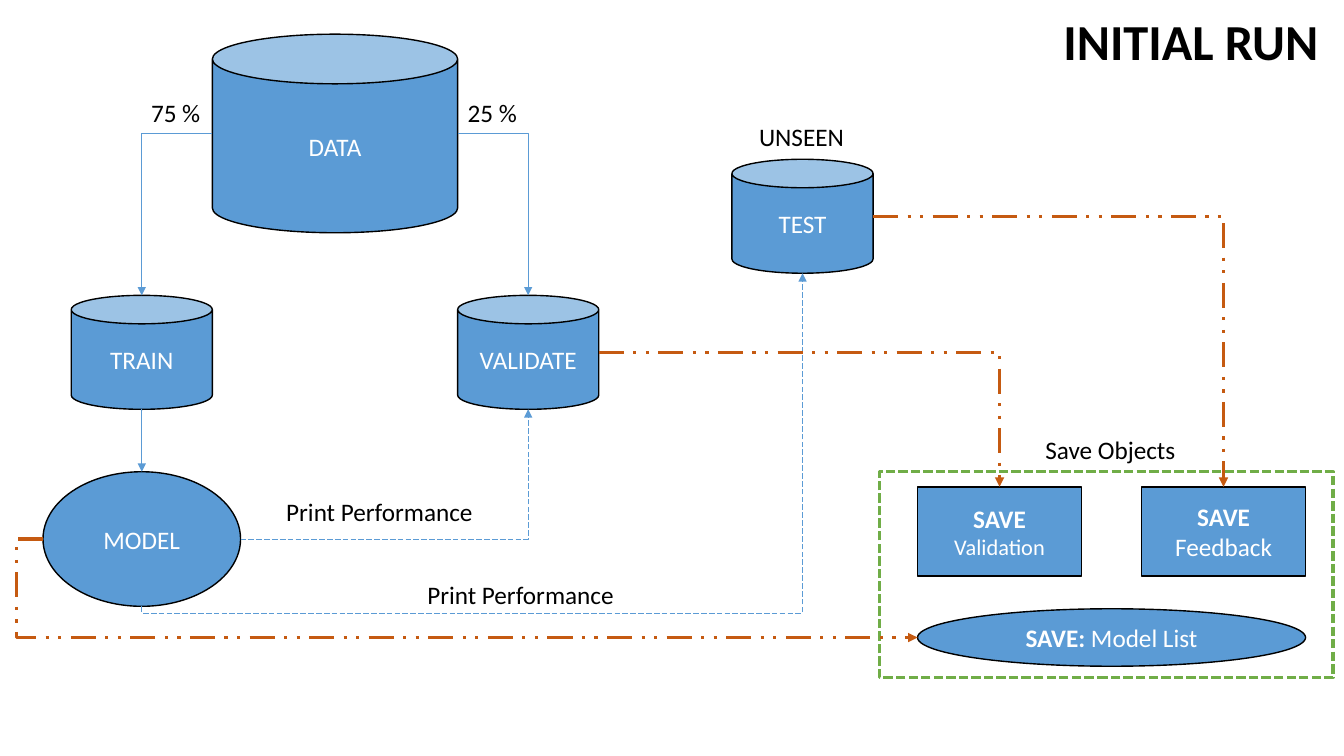
"""Build the INITIAL RUN data flow slide."""
from dataclasses import dataclass
from enum import Enum

from lxml.etree import SubElement
from pptx import Presentation
from pptx.dml.color import RGBColor
from pptx.enum.dml import MSO_LINE_DASH_STYLE as Dash
from pptx.enum.shapes import MSO_AUTO_SHAPE_TYPE as ShapeType, MSO_CONNECTOR_TYPE as ConnectorType
from pptx.enum.text import MSO_ANCHOR as Anchor, MSO_AUTO_SIZE as AutoSize, PP_ALIGN as Align
from pptx.oxml.ns import qn
from pptx.util import Inches, Pt

BLUE = RGBColor(0x5B, 0x9B, 0xD5)
GREEN = RGBColor(0x70, 0xAD, 0x47)
ORANGE = RGBColor(0xC5, 0x5A, 0x11)
BLACK = RGBColor(0, 0, 0)
WHITE = RGBColor(0xFF, 0xFF, 0xFF)
FONT = "Calibri"

presentation = Presentation()
presentation.slide_width, presentation.slide_height = Inches(13.33), Inches(7.5)
slide = presentation.slides.add_slide(presentation.slide_layouts[6])


def across(percent: float) -> int:
    """Convert a percentage of the slide's width to a length."""
    return round(presentation.slide_width * percent / 100)


def down(percent: float) -> int:
    """Convert a percentage of the slide's height to a length."""
    return round(presentation.slide_height * percent / 100)


class Side(Enum):
    """Share of a box's width and height at the middle of each side."""
    LEFT = (0, 0.5)
    RIGHT = (1, 0.5)
    TOP = (0.5, 0)
    BOTTOM = (0.5, 1)


@dataclass(frozen=True)
class Box:
    """Frame in percentages of the slide's width and height."""
    left: float
    top: float
    width: float
    height: float

    def frame(self) -> tuple[int, int, int, int]:
        """Return the frame as lengths."""
        return across(self.left), down(self.top), across(self.width), down(self.height)

    def point(self, side: Side) -> tuple[int, int]:
        """Return the middle of a side."""
        left, top, width, height = self.frame()
        share_x, share_y = side.value
        return round(left + width * share_x), round(top + height * share_y)


@dataclass(frozen=True)
class Run:
    """Piece of text in one style."""
    text: str
    size: int = 18
    bold: bool = False


Lines = tuple[tuple[Run, ...], ...]


@dataclass(frozen=True)
class Node:
    """Labelled blue shape."""
    kind: ShapeType
    box: Box
    lines: Lines


@dataclass(frozen=True)
class Stroke:
    """Colour, width and dash of a line."""
    color: RGBColor
    width: float
    dash: Dash = Dash.SOLID


@dataclass(frozen=True)
class Flow:
    """Arrow between two nodes, with an optional detour as a share of its run."""
    start: Box
    start_side: Side
    end: Box
    end_side: Side
    stroke: Stroke
    preset: str = "bentConnector2"
    detour: float = 0


@dataclass(frozen=True)
class Label:
    """Free text on the slide."""
    box: Box
    run: Run


OUTLINE = Stroke(BLACK, 1)
SPLIT = Stroke(BLUE, 0.5)
PRINT = Stroke(BLUE, 0.5, Dash.LONG_DASH)
SAVE = Stroke(ORANGE, 2.25, Dash.DASH_DOT_DOT)

CAN_SIZE = (10.5, 15.07)
SAVE_SIZE = (12.2, 11.8)
SAVE_LEFT, SAVE_TOP, SAVE_WIDTH = 68.27, 64.4, 28.87
SPLIT_TOP, MODEL_TOP = 39.07, 62.4
DATA = Box(15.8, 4.53, 18.25, 26.27)
TRAIN = Box(DATA.left - CAN_SIZE[0], SPLIT_TOP, *CAN_SIZE)
VALIDATE = Box(DATA.left + DATA.width, SPLIT_TOP, *CAN_SIZE)
TEST = Box(54.46, 21.07, *CAN_SIZE)
MODEL = Box(3.2, MODEL_TOP, 14.7, 17.8)
VALIDATION = Box(SAVE_LEFT, SAVE_TOP, *SAVE_SIZE)
FEEDBACK = Box(SAVE_LEFT + SAVE_WIDTH - SAVE_SIZE[0], SAVE_TOP, *SAVE_SIZE)
MODEL_LIST = Box(SAVE_LEFT, 80.53, SAVE_WIDTH, 7.6)
SAVE_ZONE = Box(65.42, MODEL_TOP, 33.76, 27.2)

NODES = [
    *(Node(ShapeType.CAN, box, ((Run(name),),)) for name, box in
      (("DATA", DATA), ("TRAIN", TRAIN), ("VALIDATE", VALIDATE), ("TEST", TEST))),
    Node(ShapeType.OVAL, MODEL, ((Run("MODEL"),),)),
    Node(ShapeType.RECTANGLE, VALIDATION, ((Run("SAVE", bold=True),), (Run("Validation", 16),))),
    Node(ShapeType.RECTANGLE, FEEDBACK, ((Run("SAVE", bold=True),), (Run("Feedback"),))),
    Node(ShapeType.OVAL, MODEL_LIST, ((Run("SAVE:", bold=True), Run(" Model List")),)),
]
FLOWS = [
    Flow(DATA, Side.LEFT, TRAIN, Side.TOP, SPLIT),
    Flow(DATA, Side.RIGHT, VALIDATE, Side.TOP, SPLIT),
    Flow(TRAIN, Side.BOTTOM, MODEL, Side.TOP, SPLIT, "line"),
    Flow(MODEL, Side.RIGHT, VALIDATE, Side.BOTTOM, PRINT),
    Flow(MODEL, Side.BOTTOM, TEST, Side.BOTTOM, PRINT, "bentConnector3", -0.02),
    Flow(VALIDATE, Side.RIGHT, VALIDATION, Side.TOP, SAVE),
    Flow(TEST, Side.RIGHT, FEEDBACK, Side.TOP, SAVE),
    Flow(MODEL, Side.LEFT, MODEL_LIST, Side.LEFT, SAVE, "bentConnector3", -0.03),
]
LABELS = [
    Label(Box(78.39, 0.67, 20.78, 9.47), Run("INITIAL RUN", 36, True)),
    *(Label(Box(left, top, width, 5.33), Run(text)) for left, top, width, text in (
        (10.5, 12.27, 5.25, "75 %"),
        (34.06, 12.27, 5.25, "25 %"),
        (55.74, 15.33, 7.88, "UNSEEN"),
        (20.56, 64.93, 15.53, "Print Performance"),
        (31.06, 76, 15.53, "Print Performance"),
        (77.04, 56.8, 11.25, "Save Objects"))),
]


def draw_stroke(line, stroke: Stroke) -> None:
    """Style a line."""
    line.color.rgb, line.width, line.dash_style = stroke.color, Pt(stroke.width), stroke.dash


def draw_shape(kind: ShapeType, box: Box, fill: RGBColor, stroke: Stroke):
    """Add a flat filled shape."""
    shape = slide.shapes.add_shape(kind, *box.frame())
    shape.shadow.inherit = False
    shape.fill.solid()
    shape.fill.fore_color.rgb = fill
    draw_stroke(shape.line, stroke)
    return shape


def write(frame, lines: Lines, color: RGBColor, align: Align) -> None:
    """Fill a text frame run by run."""
    for index, runs in enumerate(lines):
        paragraph = frame.add_paragraph() if index else frame.paragraphs[0]
        paragraph.alignment = align
        for item in runs:
            run = paragraph.add_run()
            run.text = item.text
            font = run.font
            font.name, font.size, font.bold, font.color.rgb = FONT, Pt(item.size), item.bold, color


def draw_flow(flow: Flow) -> None:
    """Add an arrow, turning its frame when a detour leaves downwards."""
    (x1, y1), (x2, y2) = flow.start.point(flow.start_side), flow.end.point(flow.end_side)
    turned = bool(flow.detour) and flow.start_side is Side.BOTTOM
    if turned:
        middle_x, middle_y = (x1 + x2) // 2, (y1 + y2) // 2
        half_run, half_rise = abs(y2 - y1) // 2, abs(x2 - x1) // 2
        x1, x2 = middle_x - half_run, middle_x + half_run
        y1, y2 = middle_y - half_rise, middle_y + half_rise
    connector = slide.shapes.add_connector(ConnectorType.ELBOW, x1, y1, x2, y2)
    draw_stroke(connector.line, flow.stroke)
    properties = connector.element.spPr
    geometry = properties.find(qn("a:prstGeom"))
    geometry.set("prst", flow.preset)
    if turned:
        properties.find(qn("a:xfrm")).set("rot", str(270 * 60000))
    if flow.detour:
        SubElement(geometry.find(qn("a:avLst")), qn("a:gd"), name="adj1",
                   fmla=f"val {round(flow.detour * 100000)}")
    SubElement(properties.find(qn("a:ln")), qn("a:tailEnd"), type="triangle")
    SubElement(properties, qn("a:effectLst"))


def draw_label(label: Label) -> None:
    """Add an unwrapped text box."""
    frame = slide.shapes.add_textbox(*label.box.frame()).text_frame
    frame.word_wrap, frame.auto_size = False, AutoSize.SHAPE_TO_FIT_TEXT
    write(frame, ((label.run,),), BLACK, Align.LEFT)


draw_shape(ShapeType.RECTANGLE, SAVE_ZONE, WHITE, Stroke(GREEN, 2.25, Dash.SQUARE_DOT))
for node in NODES:
    node_frame = draw_shape(node.kind, node.box, BLUE, OUTLINE).text_frame
    node_frame.vertical_anchor = Anchor.MIDDLE
    write(node_frame, node.lines, WHITE, Align.CENTER)
for arrow in FLOWS:
    draw_flow(arrow)
for caption in LABELS:
    draw_label(caption)
presentation.save("out.pptx")
